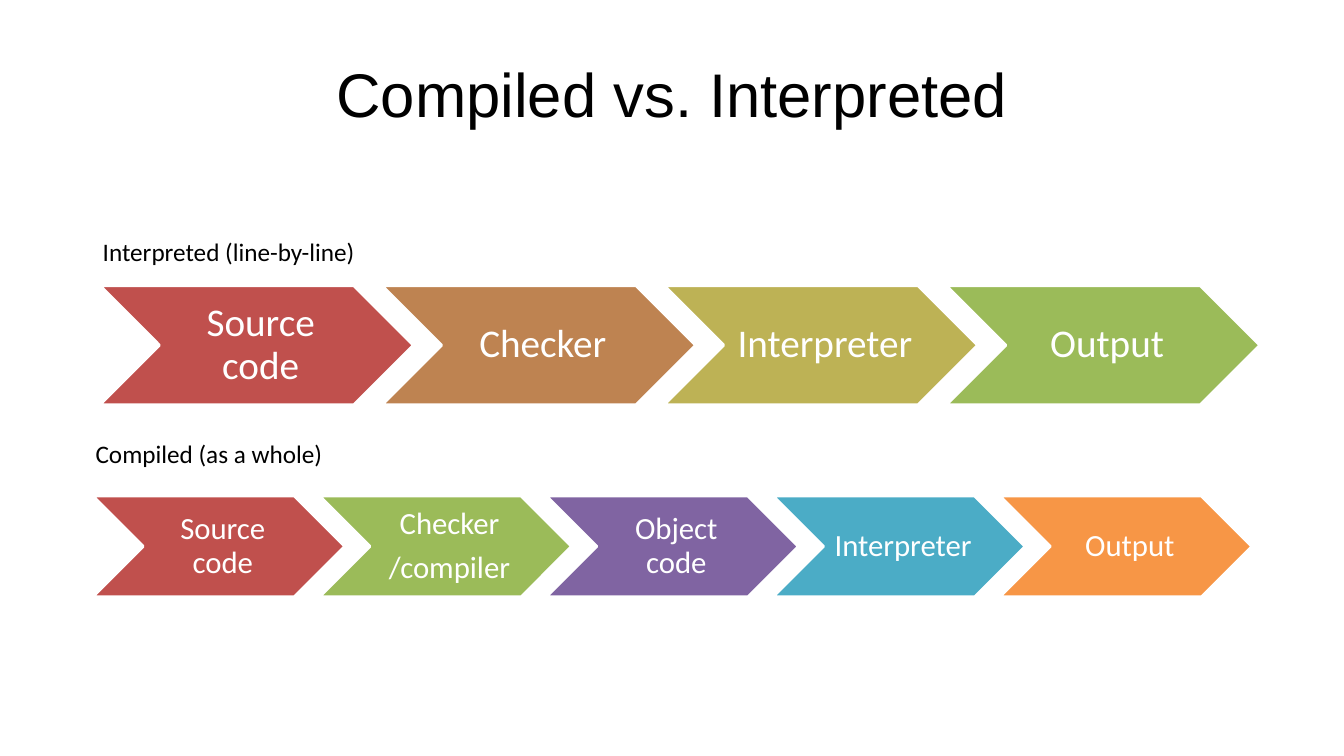
from pptx import Presentation
from pptx.dml.color import RGBColor
from pptx.enum import shapes, text
from pptx.util import Cm, Pt

BLACK = RGBColor(0x00, 0x00, 0x00)
WHITE = RGBColor(0xFF, 0xFF, 0xFF)
RED = RGBColor(0xC0, 0x50, 0x4D)
BROWN = RGBColor(0xBE, 0x83, 0x51)
KHAKI = RGBColor(0xBD, 0xB2, 0x55)
GREEN = RGBColor(0x9B, 0xBB, 0x59)
PURPLE = RGBColor(0x80, 0x64, 0xA2)
TEAL = RGBColor(0x4B, 0xAC, 0xC6)
ORANGE = RGBColor(0xF7, 0x96, 0x46)

STEP_PITCH = 0.9  # share of a chevron's width from one step to the next

INTERPRETED_STEPS = [
    ("Source code", RED),
    ("Checker", BROWN),
    ("Interpreter", KHAKI),
    ("Output", GREEN),
]
COMPILED_STEPS = [
    ("Source code", RED),
    ("Checker\n/compiler", GREEN),
    ("Object code", PURPLE),
    ("Interpreter", TEAL),
    ("Output", ORANGE),
]


def write_text(holder, content, *, size, font="Calibri", color=BLACK,
               align=text.PP_ALIGN.LEFT, anchor=text.MSO_ANCHOR.TOP, wrap=True,
               margins=(0.25, 0.13, 0.25, 0.13), line_spacing=1.0, space_after=0):
    """Fill a shape with one paragraph per line; margins are l, t, r, b in cm."""
    frame = holder.text_frame
    frame.word_wrap = wrap
    frame.vertical_anchor = anchor
    (frame.margin_left, frame.margin_top,
     frame.margin_right, frame.margin_bottom) = map(Cm, margins)
    frame.text = content
    for paragraph in frame.paragraphs:
        paragraph.alignment = align
        paragraph.line_spacing = line_spacing
        paragraph.space_after = Pt(space_after)
        paragraph.font.size = Pt(size)
        paragraph.font.name = font
        paragraph.font.color.rgb = color


def add_label(slide, content, left, top, width, height, **text_format):
    label = slide.shapes.add_textbox(Cm(left), Cm(top), Cm(width), Cm(height))
    write_text(label, content, **text_format)


def add_step(slide, content, color, left, top, width, height, size):
    step = slide.shapes.add_shape(
        shapes.MSO_SHAPE.CHEVRON, Cm(left), Cm(top), Cm(width), Cm(height))
    step.shadow.inherit = False
    step.fill.solid()
    step.fill.fore_color.rgb = color
    step.line.color.rgb = WHITE
    step.line.width = Pt(2)
    write_text(step, content, size=size, color=WHITE,
               align=text.PP_ALIGN.CENTER, anchor=text.MSO_ANCHOR.MIDDLE,
               margins=(0.2, 0, 0, 0), line_spacing=0.9, space_after=0.35 * size)


def add_process(slide, steps, left, top, width, height, size):
    for index, (content, color) in enumerate(steps):
        add_step(slide, content, color, left + index * STEP_PITCH * width,
                 top, width, height, size)


def main():
    deck = Presentation()
    deck.slide_width, deck.slide_height = Cm(33.87), Cm(19.05)
    slide = deck.slides.add_slide(deck.slide_layouts[6])

    # Title
    add_label(slide, "Compiled vs. Interpreted", 1.7, 0.76, 30.48, 3.18,
              size=44, font="Arial", align=text.PP_ALIGN.CENTER,
              anchor=text.MSO_ANCHOR.MIDDLE)

    # Interpreted process
    add_process(slide, INTERPRETED_STEPS, 2.52, 7.2, 7.9, 3, size=28)
    add_label(slide, "Interpreted (line-by-line)", 2.34, 5.82, 6.96, 1.02,
              size=18, wrap=False)

    # Compiled process
    add_process(slide, COMPILED_STEPS, 2.34, 12.5, 6.35, 2.54, size=22)
    add_label(slide, "Compiled (as a whole)", 2.16, 10.92, 6.3, 1.02,
              size=18, wrap=False)

    deck.save("out.pptx")


if __name__ == "__main__":
    main()
